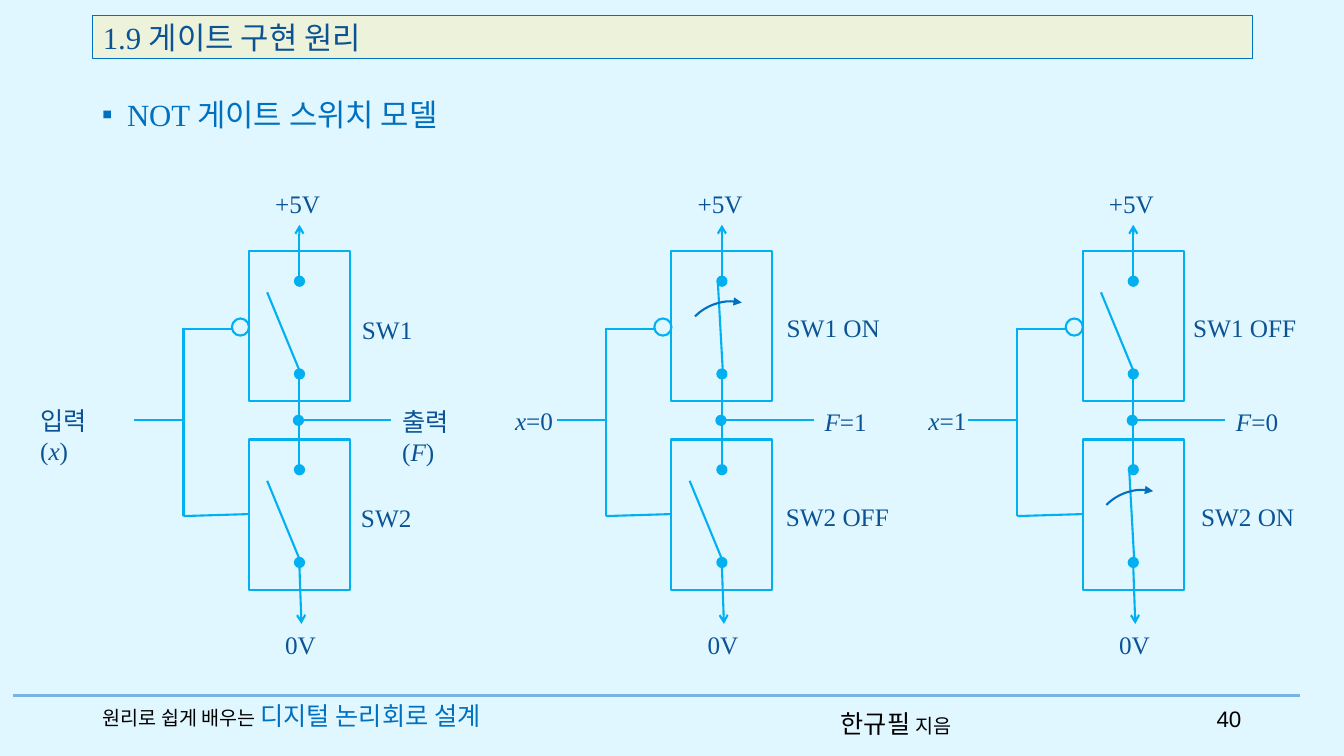
from pptx import Presentation
from pptx.dml.color import RGBColor
from pptx.enum.shapes import MSO_CONNECTOR, MSO_SHAPE
from pptx.enum.text import MSO_ANCHOR, MSO_AUTO_SIZE, PP_ALIGN
from pptx.oxml.ns import qn
from pptx.util import Inches, Pt
from lxml.etree import SubElement

SKY = RGBColor(0xE1, 0xF7, 0xFF)
CREAM = RGBColor(0xED, 0xF3, 0xDB)
CYAN = RGBColor(0x00, 0xB0, 0xF0)
BLUE = RGBColor(0x00, 0x70, 0xC0)
NAVY = RGBColor(0x0B, 0x53, 0x94)
RULE = RGBColor(0x78, 0xB3, 0xE3)
BLACK = RGBColor(0, 0, 0)
SERIF, KOREAN, SANS = "Times New Roman", "Noto Sans CJK KR", "Arial"

BOX_W, BOX_H = 1, 1.49
UPPER, LOWER = 2.49, 4.36      # tops of the two switch boxes
OUT_Y = 4.17                   # height of the input and output wires
AXIS = 0.5                     # supply wire, from the left of a box
DOT = 0.09


def add_run(p, text, size=18, color=NAVY, font=SERIF, italic=False):
    r = p.add_run()
    r.text = text
    r.font.size = Pt(size)
    r.font.name = font
    r.font.italic = italic
    r.font.color.rgb = color
    SubElement(r.font._element, qn("a:ea")).set("typeface", KOREAN)


def add_text(shapes, left, top, width, align=PP_ALIGN.LEFT, wrap=True):
    tb = shapes.add_textbox(Inches(left), Inches(top), Inches(width), Inches(0.4))
    tf = tb.text_frame
    tf.word_wrap = wrap
    p = tf.paragraphs[0]
    p.alignment = align
    return p


def add_label(shapes, text, left, top, width, align=PP_ALIGN.LEFT, wrap=False):
    """A label in which the variables x and F are italic."""
    p = add_text(shapes, left, top, width, align, wrap)
    for variable in ("x", "F"):
        before, found, after = text.partition(variable)
        if found and "SW" not in text:
            if before:
                add_run(p, before)
            add_run(p, variable, italic=True)
            add_run(p, after)
            return
    add_run(p, text)


def add_arrowhead(line, kind):
    SubElement(line._get_or_add_ln(), qn("a:tailEnd")).set("type", kind)


def add_wire(shapes, x1, y1, x2, y2, color=CYAN, width=1.5, arrow=False):
    c = shapes.add_connector(MSO_CONNECTOR.STRAIGHT, Inches(x1), Inches(y1),
                             Inches(x2), Inches(y2))
    c.line.color.rgb = color
    c.line.width = Pt(width)
    if arrow:
        add_arrowhead(c.line, "arrow")
    SubElement(c._element.spPr, qn("a:effectLst"))


def add_outline(shapes, kind, left, top, width, height, color=CYAN, fill=None):
    sp = shapes.add_shape(kind, Inches(left), Inches(top), Inches(width), Inches(height))
    sp.shadow.inherit = False
    sp.line.color.rgb = color
    sp.line.width = Pt(1.5)
    if fill is None:
        sp.fill.background()
    else:
        sp.fill.solid()
        sp.fill.fore_color.rgb = fill
    return sp


def add_dot(shapes, x, y):
    add_outline(shapes, MSO_SHAPE.OVAL, x - DOT / 2, y - DOT / 2, DOT, DOT, fill=CYAN)


def add_switch(shapes, x, top, closed):
    """Box, two contacts and the lever between them."""
    add_outline(shapes, MSO_SHAPE.RECTANGLE, x, top, BOX_W, BOX_H)
    for y in (0.3, 1.22):
        add_dot(shapes, x + AXIS, top + y)
    tip_x, tip_y = (0.46, 0.31) if closed else (0.18, 0.41)
    add_wire(shapes, x + 0.51, top + 1.21, x + tip_x, top + tip_y)


def add_closing_arc(shapes, x, top):
    arc = add_outline(shapes, MSO_SHAPE.ARC, x + 0.09, top + 0.5, 1, 1, BLUE)
    arc.adjustments[0], arc.adjustments[1] = 162, 196.74
    arc.rotation = 314.6
    add_arrowhead(arc.line, "triangle")


def add_not_gate(s, x, closed, source, output, sw1, sw2):
    """One switch model; x is the left of its boxes, closed the switch that is on."""
    shapes = s.shapes.add_group_shape().shapes
    axis, bus = x + AXIS, x - 0.65
    # Switches
    add_switch(shapes, x, UPPER, closed == 1)
    add_switch(shapes, x, LOWER, closed == 2)
    # Input wires and inverting bubble
    add_outline(shapes, MSO_SHAPE.OVAL, x - 0.17, 3.16, 0.17, 0.17)
    add_wire(shapes, bus, 3.26, x - 0.17, 3.26)
    add_wire(shapes, bus, 5.12, x, 5.1)
    add_wire(shapes, bus, 5.12, bus, 3.25)
    add_wire(shapes, bus - 0.49, OUT_Y, bus, OUT_Y)
    # Supply, ground and output wires
    add_wire(shapes, axis, 2.75, axis, 2.23, arrow=True)
    add_wire(shapes, axis, 3.76, axis, 4.61)
    add_wire(shapes, axis, 5.62, axis + 0.02, 6.19, arrow=True)
    add_dot(shapes, axis - 0.01, OUT_Y)
    add_wire(shapes, axis + 0.04, OUT_Y, x + 1.41, OUT_Y)
    # Labels
    add_label(shapes, "+5V", x + 0.16, 1.82, 0.68)
    add_label(shapes, "0V", x + 0.26, 6.19, 0.51)
    add_label(shapes, *source)
    add_label(shapes, *output)
    for text, left, top, width in (sw1, sw2):
        add_label(shapes, text, left, top, width, PP_ALIGN.CENTER)
    if closed:
        add_closing_arc(shapes, x, UPPER if closed == 1 else LOWER)


def format_placeholder(sp, left, top, width, height, anchor):
    sp.left, sp.top, sp.width, sp.height = map(Inches, (left, top, width, height))
    tf = sp.text_frame
    tf.auto_size = MSO_AUTO_SIZE.NONE
    tf.word_wrap = True
    tf.vertical_anchor = anchor
    p = tf.paragraphs[0]
    p.alignment = PP_ALIGN.LEFT
    p.space_before = Pt(0)
    return p


def add_heading(s):
    title = s.shapes.title
    p = format_placeholder(title, 0.92, 0.15, 11.5, 0.43, MSO_ANCHOR.MIDDLE)
    title.fill.solid()
    title.fill.fore_color.rgb = CREAM
    title.line.color.rgb = BLUE
    title.line.width = Pt(0.75)
    add_run(p, "1.9 게이트 구현 원리", 22)

    p = format_placeholder(s.placeholders[1], 0.91, 0.9, 11.5, 0.63, MSO_ANCHOR.TOP)
    pPr = p._p.get_or_add_pPr()
    pPr.set("marL", str(Inches(0.25)))
    pPr.set("indent", str(Inches(-0.25)))
    SubElement(pPr, qn("a:buChar")).set("char", "▪")
    add_run(p, "NOT 게이트 스위치 모델", 22, BLUE)


def add_footer(s):
    add_wire(s.shapes, 0.13, 6.9, 12.89, 6.9, RULE, 2.5)
    p = add_text(s.shapes, 0.92, 6.9, 4.63)
    add_run(p, "원리로 쉽게 배우는 ", 14, BLACK)
    add_run(p, "디지털 논리회로 설계", 18, BLUE)
    p = add_text(s.shapes, 8.24, 6.98, 1.53)
    add_run(p, "한규필 ", 18, BLACK, KOREAN)
    add_run(p, "지음", 14, BLACK, KOREAN)
    p = add_text(s.shapes, 11.79, 6.95, 0.62, PP_ALIGN.RIGHT)
    add_run(p, "40", 16, BLACK, SANS)


def main():
    prs = Presentation()
    prs.slide_width, prs.slide_height = Inches(13.33), Inches(7.5)
    s = prs.slides.add_slide(prs.slide_layouts[1])
    s.background.fill.solid()
    s.background.fill.fore_color.rgb = SKY
    add_heading(s)
    # General model, then input 0 and input 1
    add_not_gate(s, 2.47, None,
                 ("입력(x)", 0.3, 3.97, 0.85, PP_ALIGN.LEFT, True),
                 ("출력(F)", 3.89, 3.98, 0.85, PP_ALIGN.LEFT, True),
                 ("SW1", 3.48, 3.07, 0.72), ("SW2", 3.47, 4.93, 0.72))
    add_not_gate(s, 6.66, 1, ("x=0", 5.01, 3.97, 0.58), ("F=1", 8.08, 3.98, 0.62),
                 ("SW1 ON", 7.7, 3.05, 1.13), ("SW2 OFF", 7.68, 4.92, 1.25))
    add_not_gate(s, 10.74, 2, ("x=1", 9.11, 3.97, 0.58), ("F=0", 12.16, 3.98, 0.62),
                 ("SW1 OFF", 11.72, 3.05, 1.25), ("SW2 ON", 11.81, 4.92, 1.13))
    add_footer(s)
    prs.save("out.pptx")


if __name__ == "__main__":
    main()
